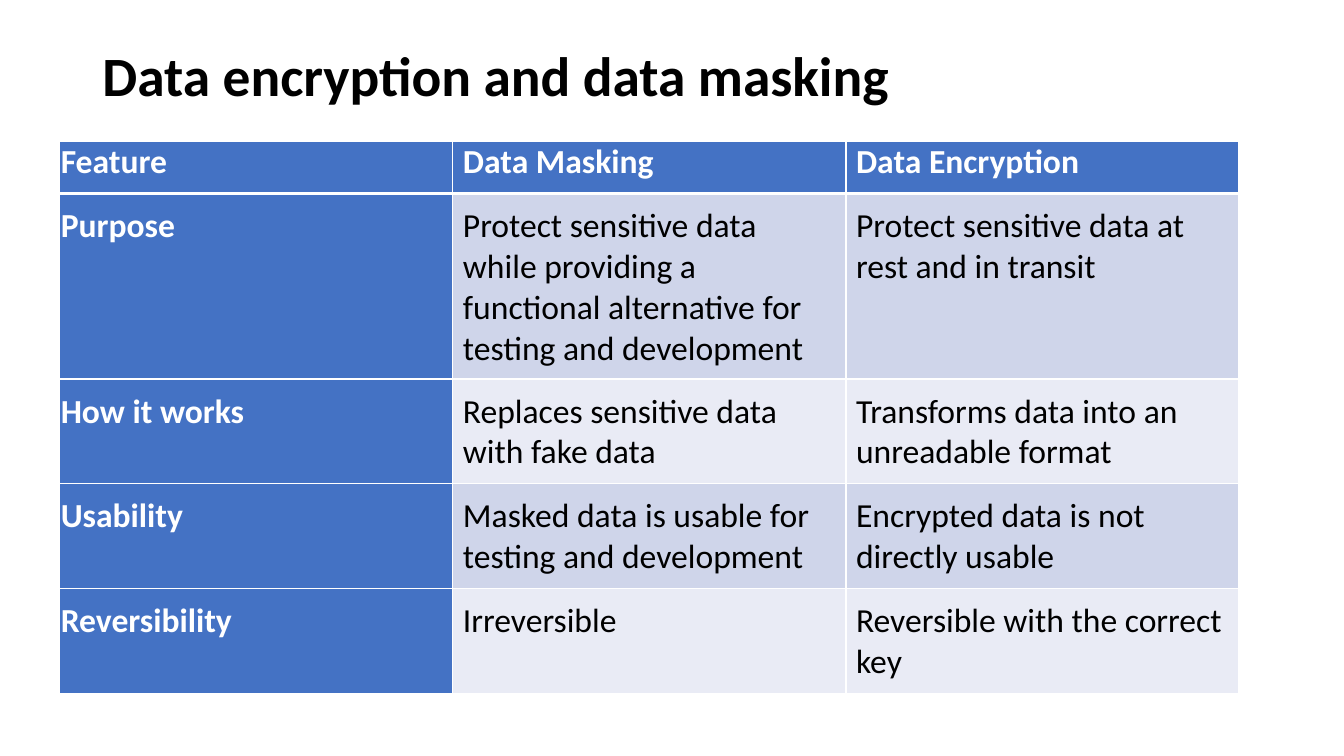
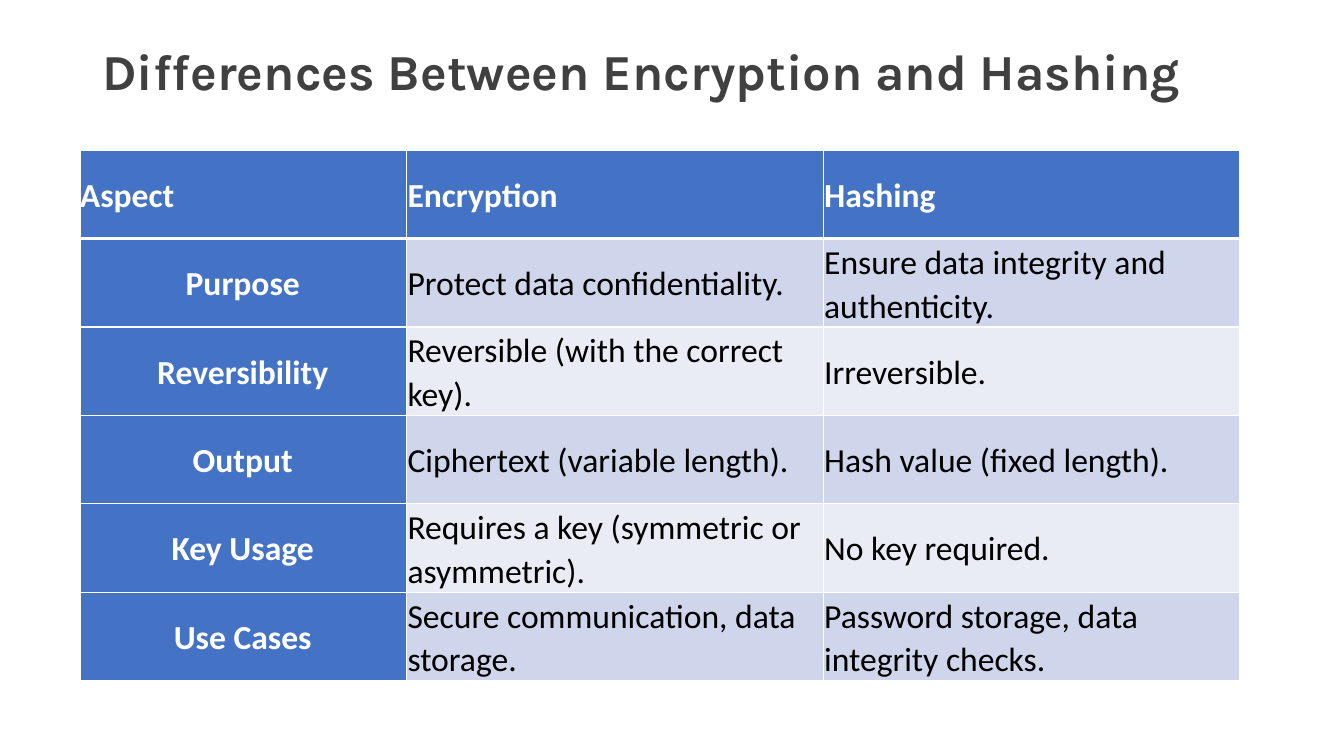
from dataclasses import dataclass

from lxml import etree
from pptx import Presentation, util as u
from pptx.dml.color import RGBColor
from pptx.enum import text
from pptx.oxml.ns import qn


@dataclass(frozen=True)
class Theme:
    width: int = u.Inches(13.333)
    height: int = u.Inches(7.5)
    font: str = "Calibri"
    accent_font: str = "Karla"
    black: str = "000000"
    white: str = "FFFFFF"
    charcoal: str = "404040"
    header: str = "4472C4"
    bands: tuple = ("CFD5EA", "E9EBF5")
    title_size: float = 39.6
    accent_title_size: float = 36
    body_size: float = 24
    title_spacing: float = 0.9
    thin_line: float = 1
    thick_line: float = 3


THEME = Theme()


@dataclass(frozen=True)
class TableStyle:
    left: float
    top: float
    columns: tuple
    rows: tuple
    side_inset: float
    edge_inset: float
    vertical_inset: float
    header_top_inset: float
    anchor: text.MSO_ANCHOR
    label_alignment: text.PP_ALIGN
    line_spacing: float = 1
    space_after: float = 0


MASKING_STYLE = TableStyle(
    left=4.45, top=18.67, columns=(29.25,) * 3, rows=(6.8, 22.27) + (13.6,) * 3,
    side_inset=0.1, edge_inset=0.01, vertical_inset=0.12, header_top_inset=0,
    anchor=text.MSO_ANCHOR.TOP, label_alignment=text.PP_ALIGN.LEFT)

HASHING_STYLE = TableStyle(
    left=5.95, top=19.87, columns=(24.3, 31, 31), rows=(11.7,) * 6,
    side_inset=0.01, edge_inset=0, vertical_inset=0.01, header_top_inset=0.01,
    anchor=text.MSO_ANCHOR.MIDDLE, label_alignment=text.PP_ALIGN.CENTER,
    line_spacing=1.07, space_after=8)

MASKING_ROWS = (
    ("Feature", "Data Masking", "Data Encryption"),
    ("Purpose",
     "Protect sensitive data while providing a functional alternative for testing and development",
     "Protect sensitive data at rest and in transit"),
    ("How it works", "Replaces sensitive data with fake data",
     "Transforms data into an unreadable format"),
    ("Usability", "Masked data is usable for testing and development",
     "Encrypted data is not directly usable"),
    ("Reversibility", "Irreversible", "Reversible with the correct key"),
)

HASHING_ROWS = (
    ("Aspect", "Encryption", "Hashing"),
    ("Purpose", "Protect data confidentiality.", "Ensure data integrity and authenticity."),
    ("Reversibility", "Reversible (with the correct key).", "Irreversible."),
    ("Output", "Ciphertext (variable length).", "Hash value (fixed length)."),
    ("Key Usage", "Requires a key (symmetric or asymmetric).", "No key required."),
    ("Use Cases", "Secure communication, data storage.",
     "Password storage, data integrity checks."),
)


def across(percent):
    return round(THEME.width * percent / 100)


def down(percent):
    return round(THEME.height * percent / 100)


def add_run(paragraph, words, size, color, bold, font=THEME.font):
    run = paragraph.add_run()
    run.text = words
    run.font.name = font
    run.font.size = u.Pt(size)
    run.font.bold = bold
    run.font.color.rgb = RGBColor.from_string(color)


def add_title(slide, words, height, size, color, font):
    shape = slide.shapes.add_textbox(across(6.88), down(5.33), across(86.25), down(height))
    frame = shape.text_frame
    frame.word_wrap = True
    frame.vertical_anchor = text.MSO_ANCHOR.MIDDLE
    paragraph = frame.paragraphs[0]
    paragraph.line_spacing = THEME.title_spacing
    add_run(paragraph, words, size, color, True, font)


def set_borders(cell, is_header, below_header):
    properties = cell._tc.get_or_add_tcPr()
    thick_side = "lnB" if is_header else "lnT" if below_header else None
    for position, side in enumerate(("lnL", "lnR", "lnT", "lnB")):
        width = THEME.thick_line if side == thick_side else THEME.thin_line
        line = etree.Element(qn(f"a:{side}"), w=str(u.Pt(width)))
        fill = etree.SubElement(line, qn("a:solidFill"))
        etree.SubElement(fill, qn("a:srgbClr"), val=THEME.white)
        properties.insert(position, line)


def fill_cell(cell, words, row, column, style):
    is_header, is_label = row == 0, column == 0
    highlighted = is_header or is_label
    last_column = len(style.columns) - 1
    color = THEME.header if highlighted else THEME.bands[(row - 1) % 2]
    cell.fill.solid()
    cell.fill.fore_color.rgb = RGBColor.from_string(color)
    cell.vertical_anchor = style.anchor
    cell.margin_left = u.Inches(style.edge_inset if is_label else style.side_inset)
    cell.margin_right = u.Inches(0.01 if column == last_column else style.side_inset)
    cell.margin_top = u.Inches(style.header_top_inset if is_header else style.vertical_inset)
    cell.margin_bottom = u.Inches(style.vertical_inset)
    paragraph = cell.text_frame.paragraphs[0]
    paragraph.line_spacing = style.line_spacing
    paragraph.space_after = u.Pt(style.space_after)
    if is_label and not is_header:
        paragraph.alignment = style.label_alignment
    add_run(paragraph, words, THEME.body_size,
            THEME.white if highlighted else THEME.black, highlighted)
    set_borders(cell, is_header, row == 1)


def add_comparison(slide, rows, style):
    shape = slide.shapes.add_table(
        len(rows), len(style.columns), across(style.left), down(style.top),
        across(sum(style.columns)), down(sum(style.rows)))
    table = shape.table
    table.first_col = True
    for column, width in zip(table.columns, style.columns):
        column.width = across(width)
    for row, height in zip(table.rows, style.rows):
        row.height = down(height)
    for row, entries in enumerate(rows):
        for column, words in enumerate(entries):
            fill_cell(table.cell(row, column), words, row, column, style)


def add_slide(presentation):
    return presentation.slides.add_slide(presentation.slide_layouts[6])


def main():
    presentation = Presentation()
    presentation.slide_width = THEME.width
    presentation.slide_height = THEME.height

    masking = add_slide(presentation)
    add_title(masking, "Data encryption and data masking", 10,
              THEME.title_size, THEME.black, THEME.font)
    add_comparison(masking, MASKING_ROWS, MASKING_STYLE)

    hashing = add_slide(presentation)
    add_title(hashing, "Differences Between Encryption and Hashing", 8.93,
              THEME.accent_title_size, THEME.charcoal, THEME.accent_font)
    add_comparison(hashing, HASHING_ROWS, HASHING_STYLE)

    presentation.save("out.pptx")


if __name__ == "__main__":
    main()
